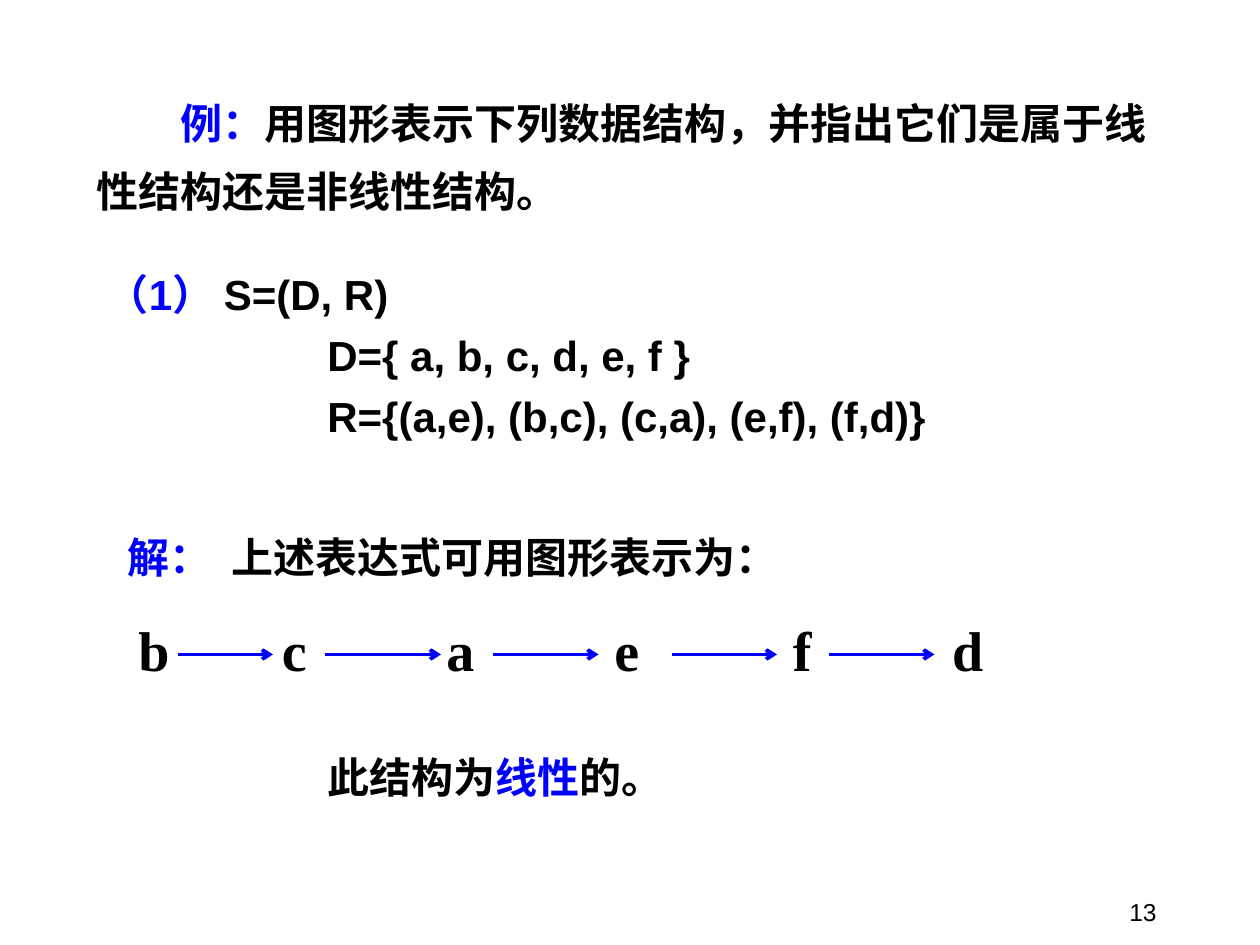
from lxml.etree import SubElement
from pptx import Presentation
from pptx.dml.color import RGBColor
from pptx.enum.shapes import MSO_CONNECTOR
from pptx.enum.text import MSO_ANCHOR, PP_ALIGN
from pptx.oxml.ns import qn
from pptx.util import Pt

BLACK = RGBColor(0, 0, 0)
BLUE = RGBColor(0, 0, 255)

NODES = [("b", 72), ("c", 154), ("a", 248), ("e", 344), ("f", 446), ("d", 537)]
NODE_TOP, NODE_WIDTH, NODE_HEIGHT = 348, 46, 46
NODE_FONT = {"name": "Times New Roman", "size": Pt(32), "bold": True}
ARROWS = [(102, 156), (186, 252), (282, 342), (384, 444), (474, 534)]
ARROW_Y = 374

TEXTS = [
    {
        "box": (54, 150, 612, 144),
        "font": {"name": "Arial", "size": Pt(24), "bold": True},
        "paragraphs": [
            {"runs": [("（1） ", BLUE), ("S=(D, R)", BLACK)]},
            {"runs": [("D={ a, b, c, d, e, f }", BLACK)], "margin": 126, "before": 6},
            {"runs": [("R={(a,e), (b,c), (c,a), (e,f), (f,d)}", BLACK)], "margin": 126, "before": 6},
        ],
    },
    {
        "box": (66, 300, 546, 36),
        "font": {"name": "Times New Roman", "size": Pt(24), "bold": True},
        "paragraphs": [
            {
                "runs": [
                    ("解：", BLUE),
                    (" ", BLACK, 6),
                    ("上述表达式可用图形表示为：", BLACK),
                ],
            },
        ],
    },
    {
        "box": (180, 426, 360, 36),
        "font": {"name": "Times New Roman", "size": Pt(24), "bold": True},
        "paragraphs": [{"runs": [("此结构为", BLACK), ("线性", BLUE), ("的。", BLACK)]}],
    },
    {
        "box": (48, 42, 618, 85),
        "font": {"name": "Montserrat", "size": Pt(24), "bold": True},
        "paragraphs": [
            {
                "runs": [
                    ("例：", BLUE),
                    ("用图形表示下列数据结构，并指出它们是属于线性结构还是非线性结构。", BLACK),
                ],
                "indent": 48,
                "format": {"line_spacing": 1.35},
            },
        ],
    },
    {
        "box": (518, 497, 150, 36),
        "font": {"name": "Arial", "size": Pt(14), "bold": False},
        "anchor": MSO_ANCHOR.BOTTOM,
        "paragraphs": [{"runs": [("13", BLACK)], "format": {"alignment": PP_ALIGN.RIGHT}}],
    },
]


def set_attributes(target, values):
    for name, value in values.items():
        setattr(target, name, value)


def fill_paragraph(paragraph, content, font):
    properties = paragraph._p.get_or_add_pPr()
    properties.set("marL", str(Pt(content.get("margin", 0))))
    properties.set("indent", str(Pt(content.get("indent", 0))))
    paragraph.space_before = Pt(content.get("before", 0))
    set_attributes(paragraph, content.get("format", {}))
    for text, color, *letter_spacing in content["runs"]:
        run = paragraph.add_run()
        run.text = text
        set_attributes(run.font, font)
        run.font.color.rgb = color
        for points in letter_spacing:
            run._r.get_or_add_rPr().set("spc", str(points * 100))


def add_text(slide, item):
    frame = slide.shapes.add_textbox(*map(Pt, item["box"])).text_frame
    frame.word_wrap = True
    frame.vertical_anchor = item.get("anchor", MSO_ANCHOR.TOP)
    for index, content in enumerate(item["paragraphs"]):
        paragraph = frame.add_paragraph() if index else frame.paragraphs[0]
        fill_paragraph(paragraph, content, item["font"])


def add_node(slide, label, left):
    add_text(slide, {
        "box": (left, NODE_TOP, NODE_WIDTH, NODE_HEIGHT),
        "font": NODE_FONT,
        "paragraphs": [{"runs": [(label, BLACK)]}],
    })


def add_arrow(slide, start, end):
    arrow = slide.shapes.add_connector(
        MSO_CONNECTOR.STRAIGHT, Pt(start), Pt(ARROW_Y), Pt(end), Pt(ARROW_Y)
    )
    arrow.line.width = Pt(2)
    arrow.line.color.rgb = BLUE
    SubElement(arrow.line._get_or_add_ln(), qn("a:tailEnd"), type="arrow")
    SubElement(arrow._element.spPr, qn("a:effectLst"))


def main():
    presentation = Presentation()
    presentation.slide_width, presentation.slide_height = Pt(720), Pt(540)
    slide = presentation.slides.add_slide(presentation.slide_layouts[6])
    for item in TEXTS:
        add_text(slide, item)
    for label, left in NODES:
        add_node(slide, label, left)
    for start, end in ARROWS:
        add_arrow(slide, start, end)
    presentation.save("out.pptx")


if __name__ == "__main__":
    main()
